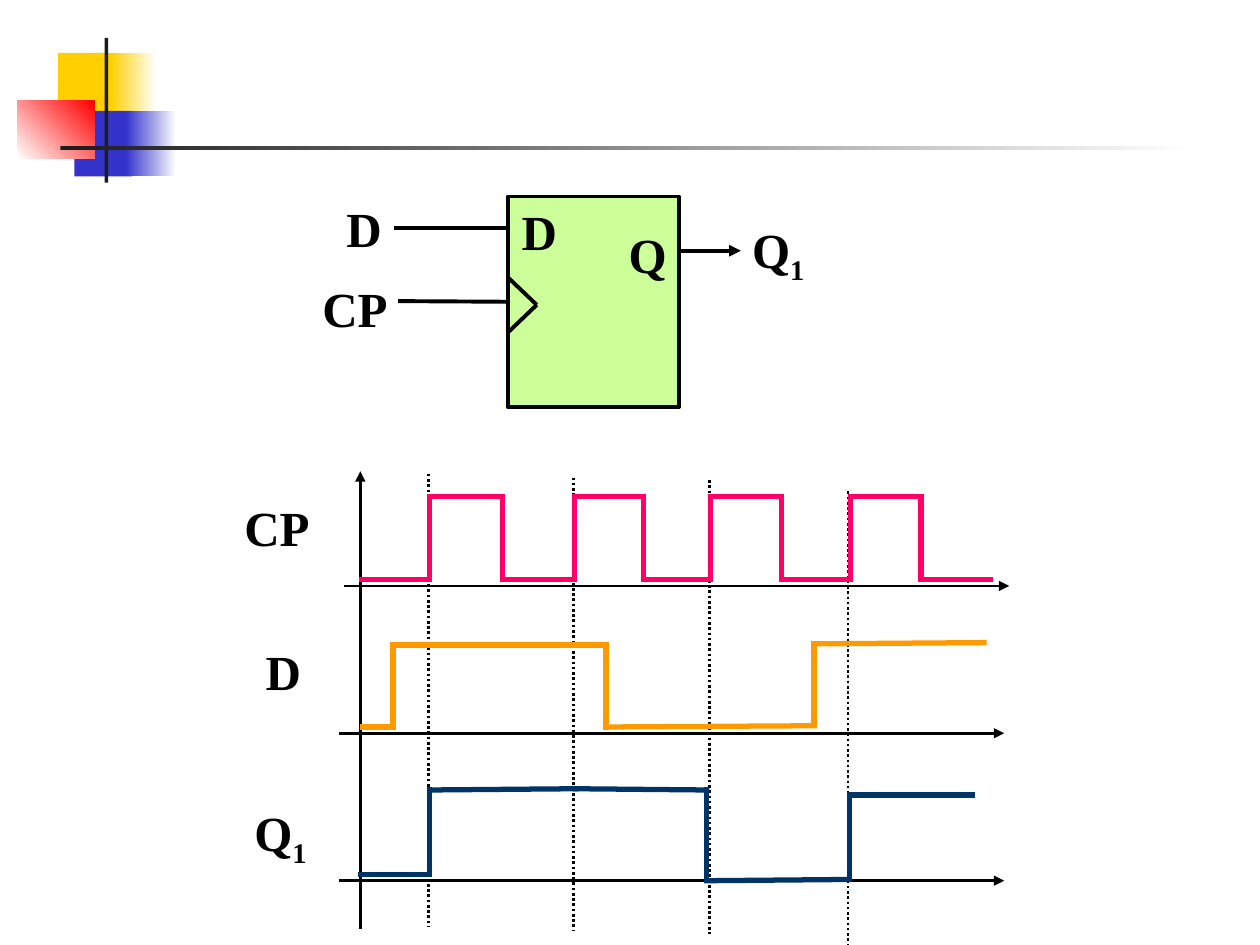
from itertools import pairwise

from lxml.etree import SubElement
from pptx import Presentation
from pptx.dml.color import RGBColor
from pptx.enum.dml import MSO_LINE
from pptx.enum.shapes import MSO_CONNECTOR, MSO_SHAPE
from pptx.enum.text import MSO_ANCHOR, PP_ALIGN
from pptx.oxml.ns import qn
from pptx.util import Emu, Pt

PX = 9144
FONT = "Times New Roman"
COLORS = {
    "black": "000000",
    "white": "FFFFFF",
    "charcoal": "1C1C1C",
    "yellow": "FFCF01",
    "blue": "3333CC",
    "red": "FF0000",
    "chip": "CCFF99",
    "clock": "FF0066",
    "data": "FF9900",
    "output": "003366",
}


def px(length):
    return Emu(length * PX)


def rgb(name):
    return RGBColor.from_string(COLORS[name])


def add_block(page, bounds, color, fade_to=None, angle=0):
    block = page.shapes.add_shape(MSO_SHAPE.RECTANGLE, *map(px, bounds))
    block.shadow.inherit = False
    block.line.fill.background()
    if fade_to:
        block.fill.gradient()
        block.fill.gradient_angle = angle
        for stop, name, position in zip(block.fill.gradient_stops, (color, fade_to), (0, 1)):
            stop.color.rgb = rgb(name)
            stop.position = position
    else:
        block.fill.solid()
        block.fill.fore_color.rgb = rgb(color)
    return block


def add_line(page, start, end, color="black", width=1.5, arrow=False, dash=None):
    line = page.shapes.add_connector(MSO_CONNECTOR.STRAIGHT, *map(px, (*start, *end)))
    line.line.color.rgb = rgb(color)
    line.line.width = Pt(width)
    if dash:
        line.line.dash_style = dash
    properties = line.element.spPr
    if arrow:
        SubElement(properties.find(qn("a:ln")), qn("a:tailEnd"), type="triangle")
    SubElement(properties, qn("a:effectLst"))
    return line


def add_wave(page, points, color):
    for start, end in pairwise(points):
        segment = add_line(page, start, end, color, 3)
        segment.element.spPr.find(qn("a:ln")).set("cap", "sq")


def add_label(page, bounds, text, subscript="", centered=False):
    box = page.shapes.add_textbox(*map(px, bounds))
    frame = box.text_frame
    frame.word_wrap = not centered
    para = frame.paragraphs[0]
    if centered:
        frame.vertical_anchor = MSO_ANCHOR.MIDDLE
        para.alignment = PP_ALIGN.CENTER
    para.add_run().text = text
    if subscript:
        span = para.add_run()
        span.text = subscript
        span._r.get_or_add_rPr().set("baseline", "-25000")
    para.font.name = FONT
    para.font.size = Pt(28)
    para.font.bold = True
    para.font.color.rgb = rgb("black")


def add_decoration(page):
    add_block(page, (46, 42, 48, 52), "yellow")
    add_block(page, (88, 42, 36, 52), "yellow", "white")
    add_block(page, (59, 88, 46, 52), "blue")
    add_block(page, (100, 88, 40, 52), "blue", "white")
    add_block(page, (14, 80, 61, 46), "white", "red", 45)
    add_block(page, (83, 30, 3, 115), "charcoal")
    add_block(page, (48, 116, 900, 3), "charcoal", "white")


def add_timing_diagram(page):
    add_label(page, (184, 390, 75, 57), "CP")
    add_label(page, (201, 504, 67, 57), "D")
    add_label(page, (192, 632, 75, 63), "Q", "1")

    for x, top in ((340, 376), (455, 379), (563, 381), (673, 390)):
        add_line(page, (x, top), (x, top + 360), dash=MSO_LINE.ROUND_DOT)
    for left, y in ((273, 465), (269, 582), (269, 699)):
        add_line(page, (left, y), (left + 528, y), arrow=True)
    add_line(page, (286, 737), (286, 374), arrow=True)

    low, high = 460, 394
    clock = [(287, low)]
    for rise, fall in ((341, 399), (456, 511), (564, 620), (675, 731)):
        clock += [(rise, low), (rise, high), (fall, high), (fall, low)]
    clock.append((786, low))
    add_wave(page, clock, "clock")

    data = [(288, 577), (312, 577), (312, 512), (481, 512),
            (481, 577), (646, 576), (646, 511), (781, 510)]
    add_wave(page, data, "data")

    output = [(286, 694), (341, 694), (341, 627), (457, 626), (561, 627),
              (561, 699), (674, 698), (674, 631), (772, 631)]
    add_wave(page, output, "output")


def add_flip_flop(page):
    chip = add_block(page, (403, 156, 136, 167), "chip")
    chip.line.color.rgb = rgb("black")
    chip.line.width = Pt(2.25)

    add_line(page, (313, 181), (403, 181), width=2.25)
    add_line(page, (403, 220), (426, 242), width=2.25)
    add_line(page, (426, 242), (403, 264), width=2.25)
    add_line(page, (539, 199), (588, 199), width=2.25, arrow=True)
    clock_input = add_line(page, (316, 239), (403, 239), width=2.25)
    clock_input.end_connect(chip, 1)

    add_label(page, (404, 155, 48, 57), "D", centered=True)
    add_label(page, (489, 173, 50, 57), "Q", centered=True)
    add_label(page, (265, 153, 57, 57), "D")
    add_label(page, (246, 216, 73, 57), "CP")
    add_label(page, (587, 169, 79, 63), "Q", "1")


def main():
    deck = Presentation()
    deck.slide_width, deck.slide_height = px(1000), px(750)
    page = deck.slides.add_slide(deck.slide_layouts[6])
    add_decoration(page)
    add_timing_diagram(page)
    add_flip_flop(page)
    deck.save("out.pptx")


if __name__ == "__main__":
    main()
